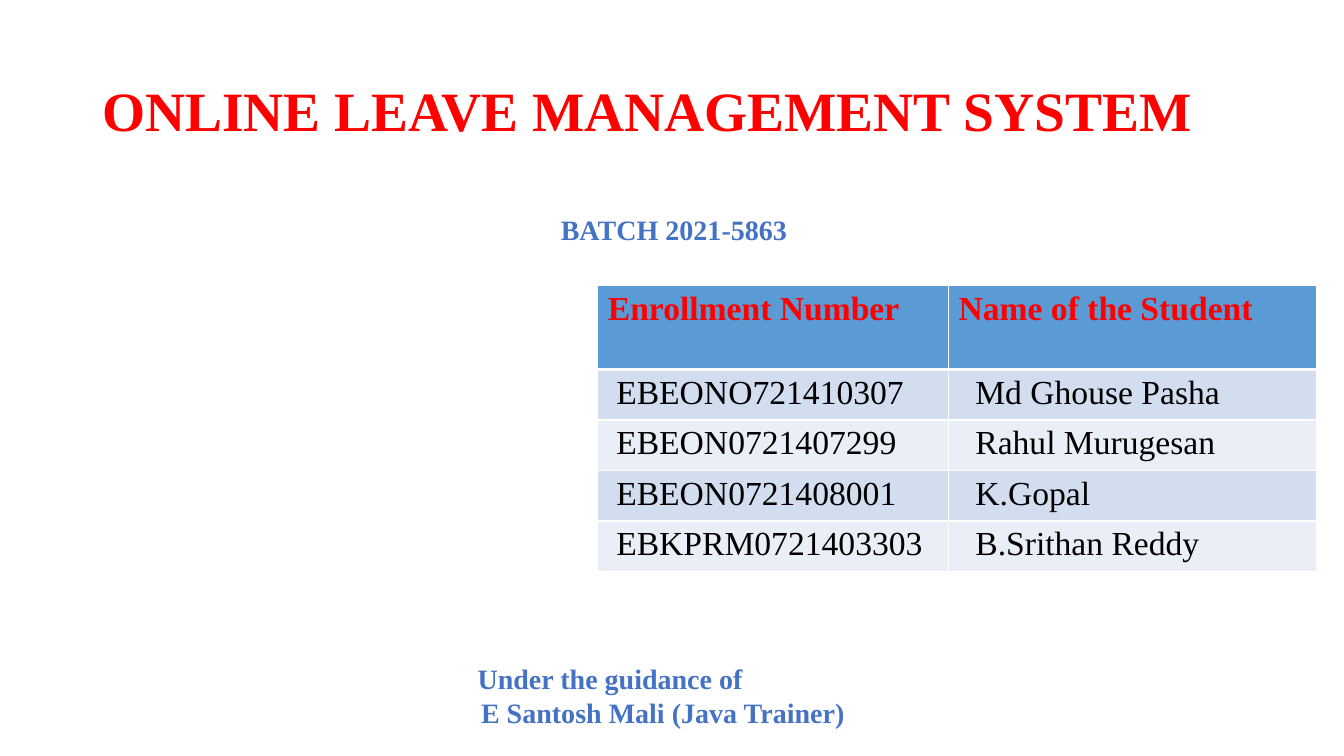
from lxml.etree import SubElement
from pptx import Presentation
from pptx.dml.color import RGBColor
from pptx.enum.text import MSO_ANCHOR as Anchor
from pptx.oxml.ns import qn
from pptx.util import Pt

RED = RGBColor(0xFF, 0x00, 0x00)
BLUE = RGBColor(0x44, 0x72, 0xC4)
BLACK = RGBColor(0x00, 0x00, 0x00)
WHITE = RGBColor(0xFF, 0xFF, 0xFF)
HEADER = RGBColor(0x5B, 0x9B, 0xD5)
BANDS = [RGBColor(0xEA, 0xEF, 0xF7), RGBColor(0xD2, 0xDE, 0xEF)]

STUDENTS = [
    ("Enrollment Number", "Name of the Student"),
    ("EBEONO721410307", "Md Ghouse Pasha"),
    ("EBEON0721407299", "Rahul Murugesan"),
    ("EBEON0721408001", "K.Gopal"),
    ("EBKPRM0721403303", "B.Srithan Reddy"),
]


def write(para, text, size=20, color=BLUE, bold=True, indent=0, spacing=1.0):
    """Put formatted text into a paragraph."""
    para._p.get_or_add_pPr().set("marL", str(Pt(indent)))
    para.line_spacing = spacing
    span = para.add_run()
    span.text = text
    span.font.name = "Times New Roman"
    span.font.size = Pt(size)
    span.font.bold = bold
    span.font.color.rgb = color


class Cover:
    """Draw the elements of the cover page in one style."""

    def __init__(self, page):
        """Keep the page to draw on."""
        self.page = page

    def text(self, left, top, width, height, lines, anchor=Anchor.TOP, **style):
        """Add a text box of (text, indent) lines."""
        box = self.page.shapes.add_textbox(Pt(left), Pt(top), Pt(width), Pt(height))
        frame = box.text_frame
        frame.word_wrap = True
        frame.vertical_anchor = anchor
        for index, (text, indent) in enumerate(lines):
            para = frame.add_paragraph() if index else frame.paragraphs[0]
            write(para, text, indent=indent, **style)

    def border(self, cell, **widths):
        """Draw white cell borders, given in points by side."""
        for side, width in widths.items():
            line = SubElement(cell._tc.get_or_add_tcPr(), qn(f"a:ln{side}"), w=str(Pt(width)))
            fill = SubElement(line, qn("a:solidFill"))
            SubElement(fill, qn("a:srgbClr"), val=str(WHITE))

    def table(self, left, top, widths, heights, rows, indents):
        """Add a banded table with a header row."""
        table = self.page.shapes.add_table(
            len(rows), len(widths), Pt(left), Pt(top), Pt(sum(widths)), Pt(sum(heights))
        ).table
        for column, width in zip(table.columns, widths):
            column.width = Pt(width)
        for r, (height, texts) in enumerate(zip(heights, rows)):
            table.rows[r].height = Pt(height)
            for c, text in enumerate(texts):
                cell = table.cell(r, c)
                self.border(cell, L=1, R=1, T=3 if r == 1 else 1, B=1 if r else 3)
                cell.fill.solid()
                cell.fill.fore_color.rgb = BANDS[r % 2] if r else HEADER
                write(cell.text_frame.paragraphs[0], text, size=24,
                      color=BLACK if r else RED, bold=r == 0,
                      indent=indents[c] if r else 0)


def main():
    """Build and save the deck."""
    deck = Presentation()
    deck.slide_width, deck.slide_height = Pt(960), Pt(540)
    cover = Cover(deck.slides.add_slide(deck.slide_layouts[6]))
    cover.text(66, 29, 828, 104, [("ONLINE LEAVE MANAGEMENT SYSTEM", 0)],
               anchor=Anchor.MIDDLE, size=39.6, color=RED, spacing=0.9)
    cover.table(427, 204, [250.5, 263], [60] + [36] * 4, STUDENTS, [6, 12])
    cover.text(348.5, 148.5, 227.5, 53, [("BATCH 2021-5863", 45)])
    cover.text(256.5, 469, 459, 71, [("Under the guidance of", 77.5),
                                     ("E Santosh Mali (Java Trainer)", 80)])
    deck.save("out.pptx")


if __name__ == "__main__":
    main()
